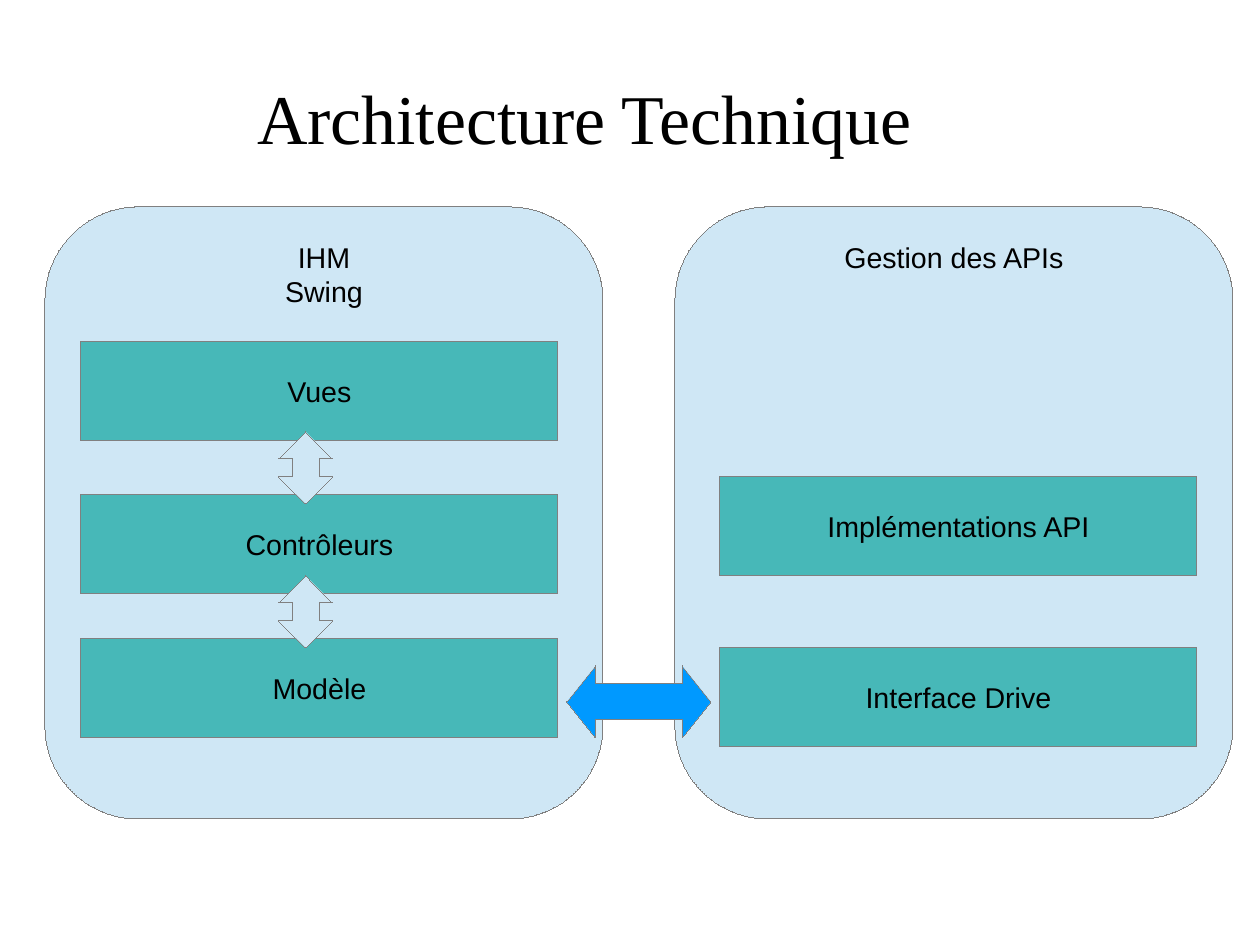
"""Build the "Architecture Technique" slide on a 28 by 21 grid."""
from dataclasses import dataclass

from pptx import Presentation
from pptx.dml.color import RGBColor
from pptx.enum.shapes import MSO_SHAPE
from pptx.enum.text import MSO_ANCHOR, PP_ALIGN
from pptx.shapes.autoshape import Shape
from pptx.slide import Slide
from pptx.text.text import TextFrame
from pptx.util import Cm, Inches, Pt

COLUMNS, ROWS = 28, 21
SLIDE_WIDTH, SLIDE_HEIGHT = Cm(COLUMNS), Cm(ROWS)


@dataclass(frozen=True)
class Theme:
    """Colours, fonts, type sizes and line width."""
    panel: str = "CFE7F5"
    layer: str = "47B8B8"
    bridge: str = "0099FF"
    outline: str = "808080"
    ink: str = "000000"
    title_font: str = "Times New Roman"
    body_font: str = "Arial"
    title_size: int = 44
    body_size: int = 18
    hairline: float = 0.01


@dataclass(frozen=True)
class Area:
    """A rectangle in grid columns and rows."""
    column: float
    row: float
    columns: float
    rows: float

    def lengths(self) -> tuple[int, int, int, int]:
        """Return left, top, width and height on the slide."""
        return (
            round(SLIDE_WIDTH * self.column / COLUMNS),
            round(SLIDE_HEIGHT * self.row / ROWS),
            round(SLIDE_WIDTH * self.columns / COLUMNS),
            round(SLIDE_HEIGHT * self.rows / ROWS),
        )


@dataclass(frozen=True)
class Layer:
    """A labelled block inside a panel."""
    label: str
    row: float


@dataclass(frozen=True)
class Panel:
    """A rounded panel with its heading and layers."""
    heading: str
    column: float
    layer_column: float
    layers: tuple[Layer, ...]


@dataclass(frozen=True)
class Arrow:
    """A double-headed block arrow."""
    kind: MSO_SHAPE
    area: Area
    fill: str
    adjustments: tuple[float, float]


THEME = Theme()
TITLE_AREA = Area(1.4, 0.84, 23.2, 3.5)
PANELS = (
    Panel("IHM\nSwing", 1, 1.8,
          (Layer("Vues", 7.6), Layer("Contrôleurs", 11), Layer("Modèle", 14.2))),
    Panel("Gestion des APIs", 15, 16,
          (Layer("Implémentations API", 10.6), Layer("Interface Drive", 14.4))),
)
ARROWS = (
    Arrow(MSO_SHAPE.LEFT_RIGHT_ARROW, Area(12.6, 14.8, 3.2, 1.6), THEME.bridge, (0.5, 0.4)),
    *(Arrow(MSO_SHAPE.UP_DOWN_ARROW, Area(6.2, row, 1.2, 1.6), THEME.panel, (0.26, 0.5))
      for row in (12.8, 9.6)),
)


def write(frame: TextFrame, text: str, *, font: str = THEME.body_font,
          size: int = THEME.body_size, color: str = THEME.ink,
          anchor: MSO_ANCHOR = MSO_ANCHOR.MIDDLE, margin: float | None = None) -> None:
    """Write centred text, one paragraph per line."""
    frame.word_wrap = True
    frame.vertical_anchor = anchor
    if margin is not None:
        frame.margin_left = frame.margin_right = Inches(margin)
        frame.margin_top = frame.margin_bottom = Inches(margin)
    for index, line in enumerate(text.split("\n")):
        para = frame.add_paragraph() if index else frame.paragraphs[0]
        para.alignment = PP_ALIGN.CENTER
        span = para.add_run()
        span.text = line
        span.font.name = font
        span.font.size = Pt(size)
        span.font.color.rgb = RGBColor.from_string(color)


def draw_shape(page: Slide, kind: MSO_SHAPE, area: Area, fill: str) -> Shape:
    """Draw a filled shape with a hairline outline."""
    shape = page.shapes.add_shape(kind, *area.lengths())
    shape.shadow.inherit = False
    shape.fill.solid()
    shape.fill.fore_color.rgb = RGBColor.from_string(fill)
    shape.line.color.rgb = RGBColor.from_string(THEME.outline)
    shape.line.width = Pt(THEME.hairline)
    return shape


def draw_panel(page: Slide, panel: Panel) -> None:
    """Draw a panel, its heading and its layers."""
    box = draw_shape(page, MSO_SHAPE.ROUNDED_RECTANGLE,
                     Area(panel.column, 4.6, 12.4, 13.6), THEME.panel)
    write(box.text_frame, panel.heading, anchor=MSO_ANCHOR.TOP)
    for layer in panel.layers:
        block = draw_shape(page, MSO_SHAPE.RECTANGLE,
                           Area(panel.layer_column, layer.row, 10.6, 2.2), THEME.layer)
        write(block.text_frame, layer.label)


def draw_arrow(page: Slide, arrow: Arrow) -> None:
    """Draw an arrow with its shaft and head proportions."""
    shape = draw_shape(page, arrow.kind, arrow.area, arrow.fill)
    for index, value in enumerate(arrow.adjustments):
        shape.adjustments[index] = value


def main() -> None:
    """Build and save the deck."""
    deck = Presentation()
    deck.slide_width, deck.slide_height = SLIDE_WIDTH, SLIDE_HEIGHT
    page = deck.slides.add_slide(deck.slide_layouts[6])
    title = page.shapes.add_textbox(*TITLE_AREA.lengths())
    write(title.text_frame, "Architecture Technique", font=THEME.title_font,
          size=THEME.title_size, margin=0)
    for panel in PANELS:
        draw_panel(page, panel)
    for arrow in ARROWS:
        draw_arrow(page, arrow)
    deck.save("out.pptx")


if __name__ == "__main__":
    main()
